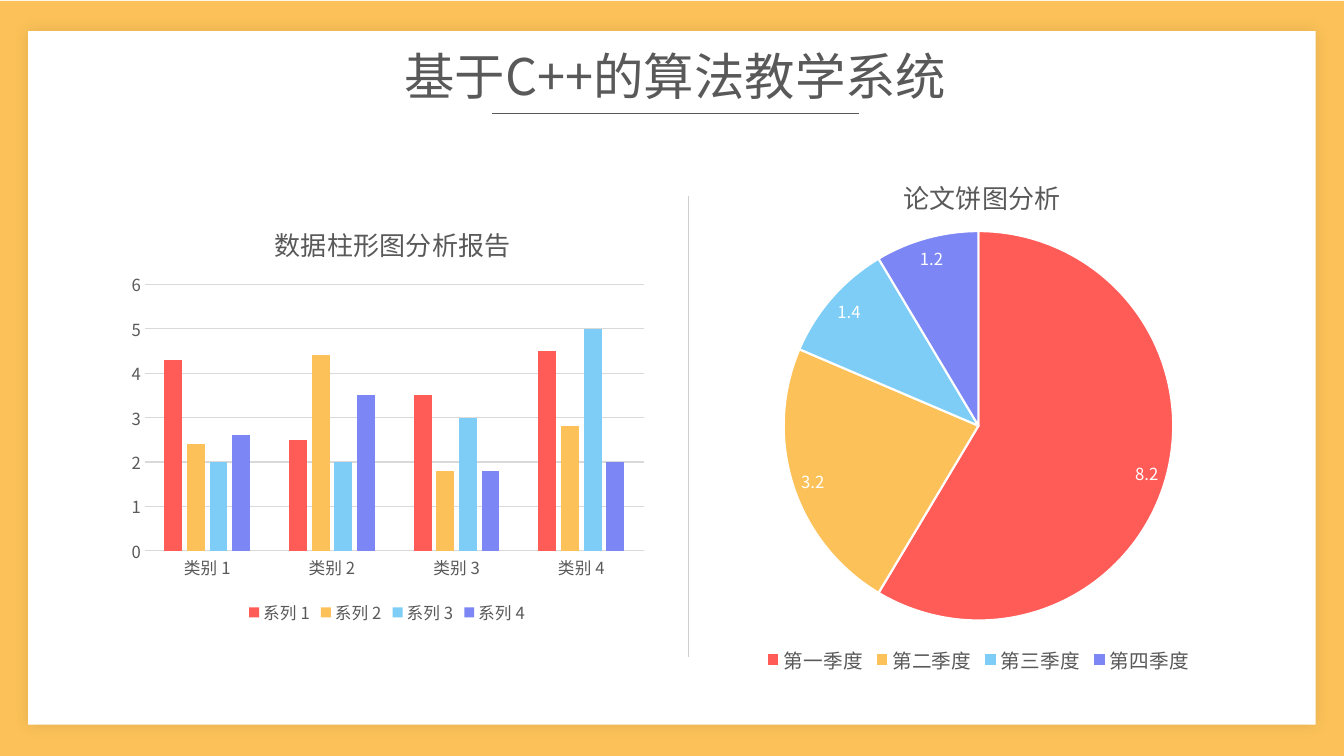
from dataclasses import dataclass

from lxml import etree
from pptx import Presentation
from pptx.chart.data import CategoryChartData
from pptx.dml.color import RGBColor
from pptx.enum.chart import XL_CHART_TYPE as ChartType
from pptx.enum.chart import XL_LABEL_POSITION as LabelPosition
from pptx.enum.chart import XL_LEGEND_POSITION as LegendPosition
from pptx.enum.chart import XL_TICK_MARK as TickMark
from pptx.enum.shapes import MSO_CONNECTOR as Connector
from pptx.enum.shapes import MSO_SHAPE as Shape
from pptx.enum.text import MSO_ANCHOR as Anchor
from pptx.enum.text import MSO_AUTO_SIZE as AutoSize
from pptx.enum.text import PP_ALIGN as Align
from pptx.oxml import parse_xml
from pptx.oxml.ns import nsdecls, qn
from pptx.util import Inches, Pt


@dataclass(frozen=True)
class Theme:
    frame: str = "FCC259"
    white: str = "FFFFFF"
    text: str = "595959"
    grid: str = "D9D9D9"
    divider: str = "D0CECE"
    series: tuple = ("FF5B57", "FCC259", "7ECDF7", "7C87F5")
    title_font: str = "Noto Sans CJK JP"
    chart_font: str = "Noto Sans CJK SC"
    title_size: float = 36
    chart_title_size: float = 18.6
    label_size: float = 11.9
    pie_legend_size: float = 14


THEME = Theme()


def rgb(color):
    return RGBColor.from_string(color)


def set_fill(fill, color):
    fill.solid()
    fill.fore_color.rgb = rgb(color)


def set_line(line, color, width):
    set_fill(line.fill, color)
    line.width = Pt(width)


def set_font(font, size, color=THEME.text, name=THEME.chart_font):
    font.size = Pt(size)
    font.bold = False
    font.color.rgb = rgb(color)
    font.name = name
    latin = font._rPr.find(qn("a:latin"))
    latin.addnext(parse_xml(f'<a:ea {nsdecls("a")} typeface="{name}"/>'))


def set_layout(element, index, **fractions):
    for previous in element.findall(qn("c:layout")):
        element.remove(previous)
    layout = etree.Element(qn("c:layout"))
    manual = etree.SubElement(layout, qn("c:manualLayout"))
    if "w" in fractions:
        etree.SubElement(manual, qn("c:layoutTarget")).set("val", "inner")
    for axis in ("x", "y"):
        etree.SubElement(manual, qn(f"c:{axis}Mode")).set("val", "edge")
    for key, value in fractions.items():
        etree.SubElement(manual, qn(f"c:{key}")).set("val", str(value))
    element.insert(index, layout)


def add_rule(slide, start, end, color):
    rule = slide.shapes.add_connector(
        Connector.STRAIGHT, *(Inches(value) for value in start + end))
    set_line(rule.line, color, 0.5)
    etree.SubElement(rule._element.spPr, qn("a:effectLst"))


def add_panel(slide, box, color):
    panel = slide.shapes.add_shape(
        Shape.RECTANGLE, *(Inches(value) for value in box))
    panel.shadow.inherit = False
    set_fill(panel.fill, color)
    panel.line.fill.background()
    return panel


def add_frame(slide, box):
    left, top, width, height = box
    add_panel(slide, box, THEME.frame)
    paper = add_panel(
        slide, (left + 0.28, top + 0.3, width - 0.56, height - 0.61), THEME.white)
    effects = paper._element.spPr.find(qn("a:effectLst"))
    effects.append(parse_xml(
        f'<a:outerShdw {nsdecls("a")} blurRad="{Pt(10)}" dist="0" algn="ctr" '
        'rotWithShape="0"><a:srgbClr val="000000"><a:alpha val="10000"/>'
        '</a:srgbClr></a:outerShdw>'))


def add_heading(slide, box, text):
    left, top, width, height = box
    title = slide.shapes.title
    title.left, title.top, title.width, title.height = (
        Inches(value) for value in box)
    frame = title.text_frame
    frame.text = text
    frame.word_wrap = True
    frame.auto_size = AutoSize.NONE
    frame.vertical_anchor = Anchor.MIDDLE
    paragraph = frame.paragraphs[0]
    paragraph.alignment = Align.CENTER
    set_font(paragraph.runs[0].font, THEME.title_size, name=THEME.title_font)
    slide.shapes._spTree.append(title._element)
    center, bottom = left + width / 2, top + height + 0.02
    add_rule(slide, (center - 1.82, bottom), (center + 1.82, bottom), THEME.text)


def add_chart(slide, box, kind, heading, categories, series, legend_size):
    data = CategoryChartData()
    data.categories = categories
    for name, values in series.items():
        data.add_series(name, values)
    chart = slide.shapes.add_chart(
        kind, *(Inches(value) for value in box), data).chart
    set_font(chart.font, THEME.label_size)
    chart.has_title = True
    chart.chart_title.include_in_layout = False
    frame = chart.chart_title.text_frame
    frame.text = heading
    set_font(frame.paragraphs[0].runs[0].font, THEME.chart_title_size)
    chart.has_legend = True
    chart.legend.position = LegendPosition.BOTTOM
    chart.legend.include_in_layout = False
    set_font(chart.legend.font, legend_size)
    return chart


def place_chart_parts(chart, title, plot):
    set_layout(chart.chart_title._element, 1, **title)
    set_layout(chart._chartSpace.chart.plotArea, 0, **plot)


def add_column_chart(slide, box):
    chart = add_chart(
        slide, box, ChartType.COLUMN_CLUSTERED, "数据柱形图分析报告",
        [f"类别 {number}" for number in range(1, 5)],
        {"系列 1": (4.3, 2.5, 3.5, 4.5), "系列 2": (2.4, 4.4, 1.8, 2.8),
         "系列 3": (2, 2, 3, 5), "系列 4": (2.6, 3.5, 1.8, 2)},
        THEME.label_size)
    place_chart_parts(chart, dict(x=0.28, y=0.05),
                      dict(x=0.045, y=0.205, w=0.937, h=0.615))
    plot = chart.plots[0]
    plot.gap_width, plot.overlap = 219, -27
    plot.vary_by_categories = False
    for series, color in zip(plot.series, THEME.series):
        set_fill(series.format.fill, color)
        series.invert_if_negative = False
    for axis in (chart.category_axis, chart.value_axis):
        axis.major_tick_mark = axis.minor_tick_mark = TickMark.NONE
        set_font(axis.tick_labels.font, THEME.label_size)
    set_line(chart.category_axis.format.line, THEME.grid, 0.75)
    values = chart.value_axis
    values.minimum_scale, values.maximum_scale, values.major_unit = 0, 6, 1
    values.format.line.fill.background()
    set_line(values.major_gridlines.format.line, THEME.grid, 0.75)


def add_pie_chart(slide, box):
    chart = add_chart(
        slide, box, ChartType.PIE, "论文饼图分析",
        ["第一季度", "第二季度", "第三季度", "第四季度"],
        {"Series 1": (8.2, 3.2, 1.4, 1.2)}, THEME.pie_legend_size)
    place_chart_parts(chart, dict(x=0.4, y=0.045),
                      dict(x=0.255, y=0.16, w=0.49, h=0.733))
    plot = chart.plots[0]
    plot.vary_by_categories = True
    for index, color in enumerate(THEME.series):
        point = plot.series[0].points[index]
        set_fill(point.format.fill, color)
        set_line(point.format.line, THEME.white, 1.5)
    labels = plot.series[0].data_labels
    labels.show_value = True
    labels.position = LabelPosition.BEST_FIT
    set_font(labels.font, THEME.label_size, THEME.white)


def main():
    presentation = Presentation()
    presentation.slide_width = Inches(13.33)
    presentation.slide_height = Inches(7.5)
    slide = presentation.slides.add_slide(presentation.slide_layouts[5])
    add_frame(slide, (0, 0.01, 13.33, 7.49))
    add_column_chart(slide, (1.2, 1.94, 5.28, 4.3))
    add_rule(slide, (6.83, 1.94), (6.83, 6.52), THEME.divider)
    add_pie_chart(slide, (5.75, 1.45, 7.91, 5.27))
    add_heading(slide, (3.66, 0.39, 6.08, 0.71), "基于C++的算法教学系统")
    presentation.save("out.pptx")


if __name__ == "__main__":
    main()
